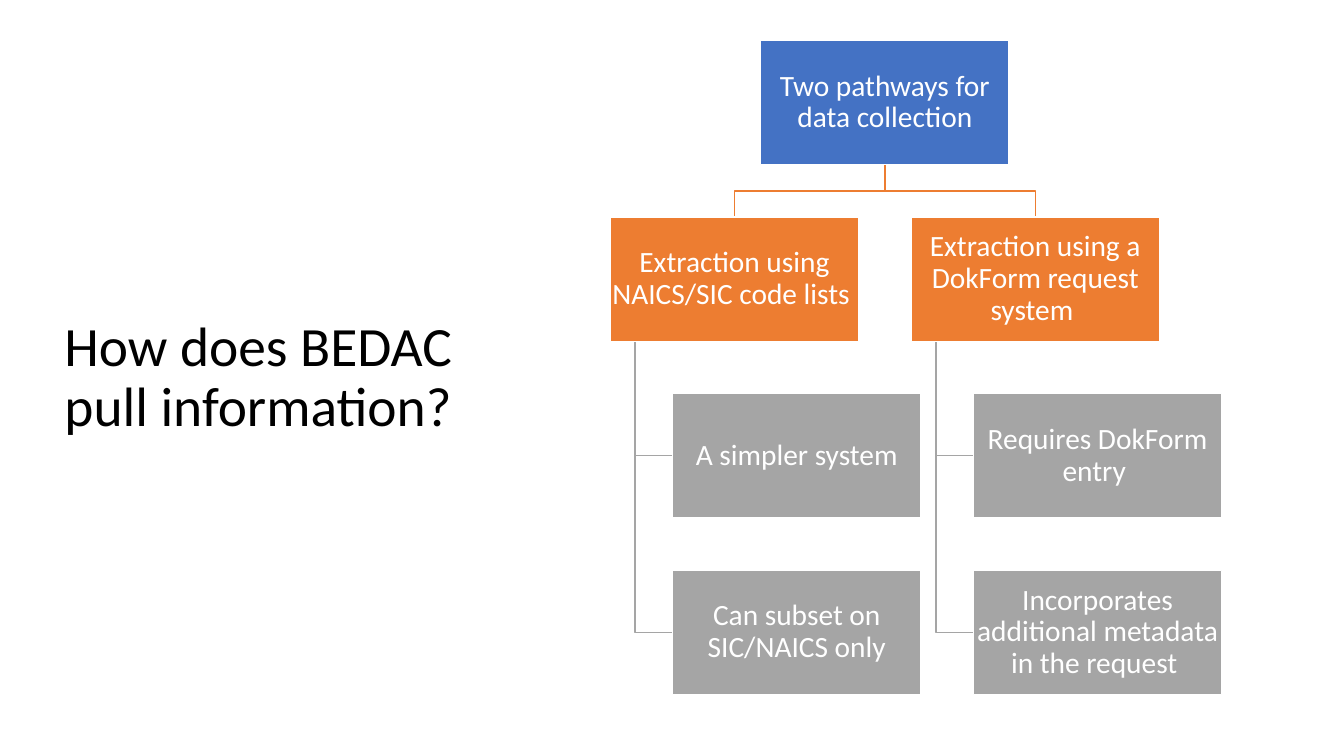
from dataclasses import dataclass

import pptx
import pptx.dml.color
import pptx.enum.shapes
import pptx.enum.text
import pptx.util

FONT = "Calibri"
BLUE, ORANGE, GRAY, WHITE, BLACK = "4472C4", "ED7D31", "A5A5A5", "FFFFFF", "000000"
BOX_W, BOX_H = 6.26, 3.13
TOP, ROW_PITCH = 1.02, 4.45
BRANCH_LEFT, BRANCH_PITCH = 15.38, 7.58
CHILD_INDENT = 1.57
STEM_INSET = BOX_W / 10


@dataclass(frozen=True)
class Box:
    text: str
    left: float
    row: int
    color: str

    @property
    def top(self) -> float:
        return TOP + self.row * ROW_PITCH

    @property
    def bottom(self) -> float:
        return self.top + BOX_H

    @property
    def center(self) -> float:
        return self.left + BOX_W / 2

    @property
    def middle(self) -> float:
        return self.top + BOX_H / 2


@dataclass(frozen=True)
class Branch:
    text: str
    details: tuple[str, ...]


BRANCHES = (
    Branch("Extraction using NAICS/SIC code lists ",
           ("A simpler system", "Can subset on SIC/NAICS only")),
    Branch("Extraction using a DokForm request system ",
           ("Requires DokForm entry ",
            "Incorporates additional metadata in the request ")),
)


def rgb(color: str) -> pptx.dml.color.RGBColor:
    return pptx.dml.color.RGBColor.from_string(color)


def format_text(p, size: float, color: str, align) -> None:
    p.alignment = align
    p.line_spacing = 0.9
    p.font.name = FONT
    p.font.size = pptx.util.Pt(size)
    p.font.color.rgb = rgb(color)


def draw_box(slide, box: Box) -> None:
    sp = slide.shapes.add_shape(
        pptx.enum.shapes.MSO_SHAPE.RECTANGLE,
        pptx.util.Cm(box.left), pptx.util.Cm(box.top),
        pptx.util.Cm(BOX_W), pptx.util.Cm(BOX_H))
    sp.shadow.inherit = False
    sp.fill.solid()
    sp.fill.fore_color.rgb = rgb(box.color)
    sp.line.color.rgb = rgb(WHITE)
    sp.line.width = pptx.util.Pt(1)
    tf = sp.text_frame
    tf.word_wrap = True
    tf.vertical_anchor = pptx.enum.text.MSO_ANCHOR.MIDDLE
    tf.margin_left = tf.margin_right = pptx.util.Cm(0.03)
    tf.margin_top = tf.margin_bottom = pptx.util.Cm(0.03)
    tf.text = box.text
    format_text(tf.paragraphs[0], 21, WHITE, pptx.enum.text.PP_ALIGN.CENTER)


def draw_path(slide, points: list[tuple[float, float]], color: str) -> None:
    start, *rest = [(pptx.util.Cm(x), pptx.util.Cm(y)) for x, y in points]
    builder = slide.shapes.build_freeform(*start)
    builder.add_line_segments(rest, close=False)
    sp = builder.convert_to_shape()
    sp.shadow.inherit = False
    sp.fill.background()
    sp.line.color.rgb = rgb(color)
    sp.line.width = pptx.util.Pt(1)


def draw_title(slide, text: str) -> None:
    sp = slide.shapes.title
    sp.left, sp.top = pptx.util.Cm(1.37), pptx.util.Cm(7.7)
    sp.width, sp.height = pptx.util.Cm(10.72), pptx.util.Cm(3.68)
    tf = sp.text_frame
    tf.word_wrap = True
    tf.auto_size = pptx.enum.text.MSO_AUTO_SIZE.NONE
    tf.vertical_anchor = pptx.enum.text.MSO_ANCHOR.MIDDLE
    tf.text = text
    format_text(tf.paragraphs[0], 39.6, BLACK, pptx.enum.text.PP_ALIGN.LEFT)


def draw_tree(slide) -> None:
    root = Box("Two pathways for data collection",
               BRANCH_LEFT + BRANCH_PITCH / 2, 0, BLUE)
    boxes = [root]
    for i, branch in enumerate(BRANCHES):
        head = Box(branch.text, BRANCH_LEFT + i * BRANCH_PITCH, 1, ORANGE)
        boxes.append(head)
        bend = (root.bottom + head.top) / 2
        draw_path(slide, [(root.center, root.bottom), (root.center, bend),
                          (head.center, bend), (head.center, head.top)], ORANGE)
        stem = head.left + STEM_INSET
        for row, text in enumerate(branch.details, start=2):
            detail = Box(text, head.left + CHILD_INDENT, row, GRAY)
            boxes.append(detail)
            draw_path(slide, [(stem, head.bottom), (stem, detail.middle),
                              (detail.left, detail.middle)], GRAY)
    for box in boxes:
        draw_box(slide, box)


def main() -> None:
    prs = pptx.Presentation()
    prs.slide_width, prs.slide_height = pptx.util.Cm(33.87), pptx.util.Cm(19.05)
    slide = prs.slides.add_slide(prs.slide_layouts[5])
    draw_title(slide, "How does BEDAC pull information?")
    draw_tree(slide)
    prs.save("out.pptx")


if __name__ == "__main__":
    main()
